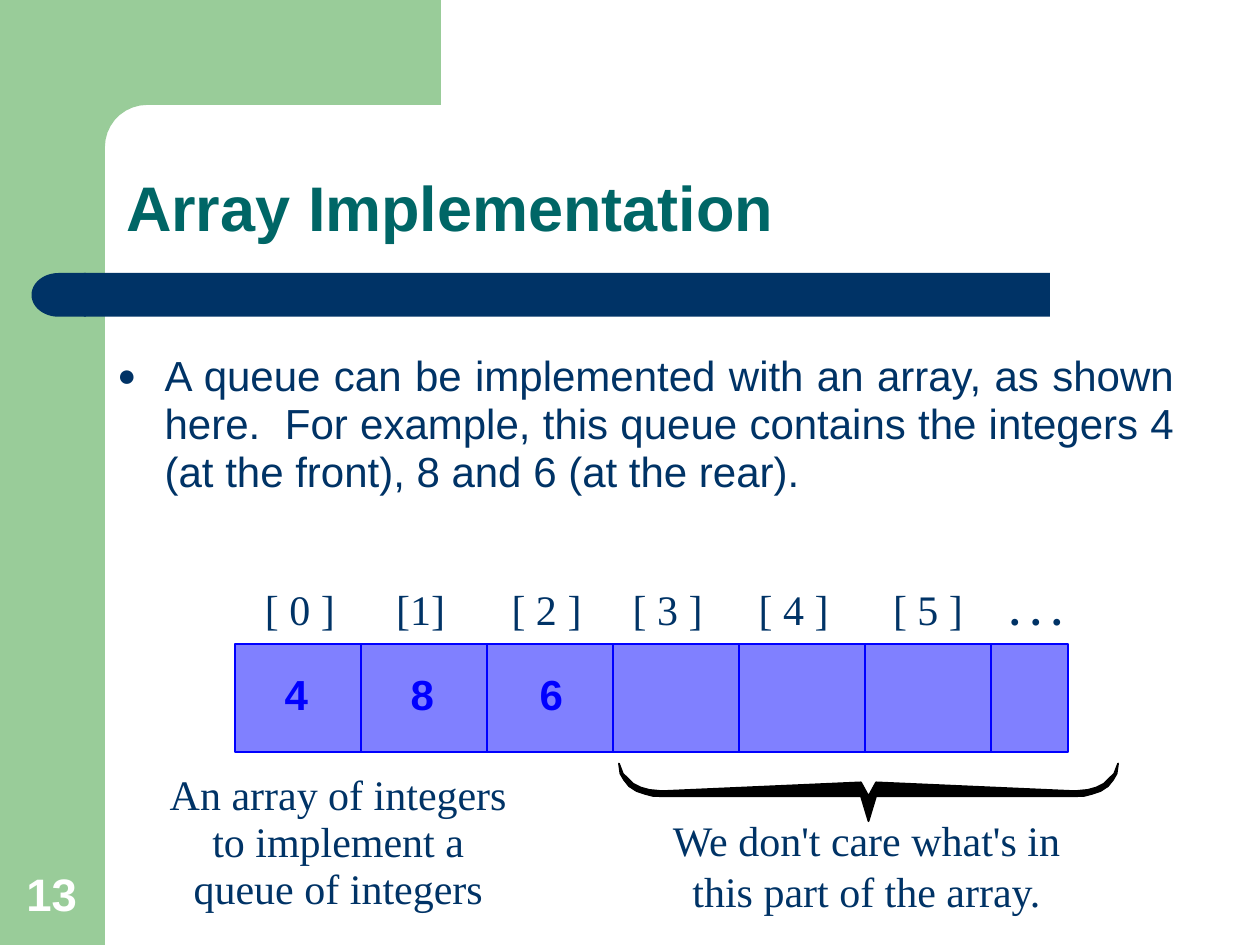
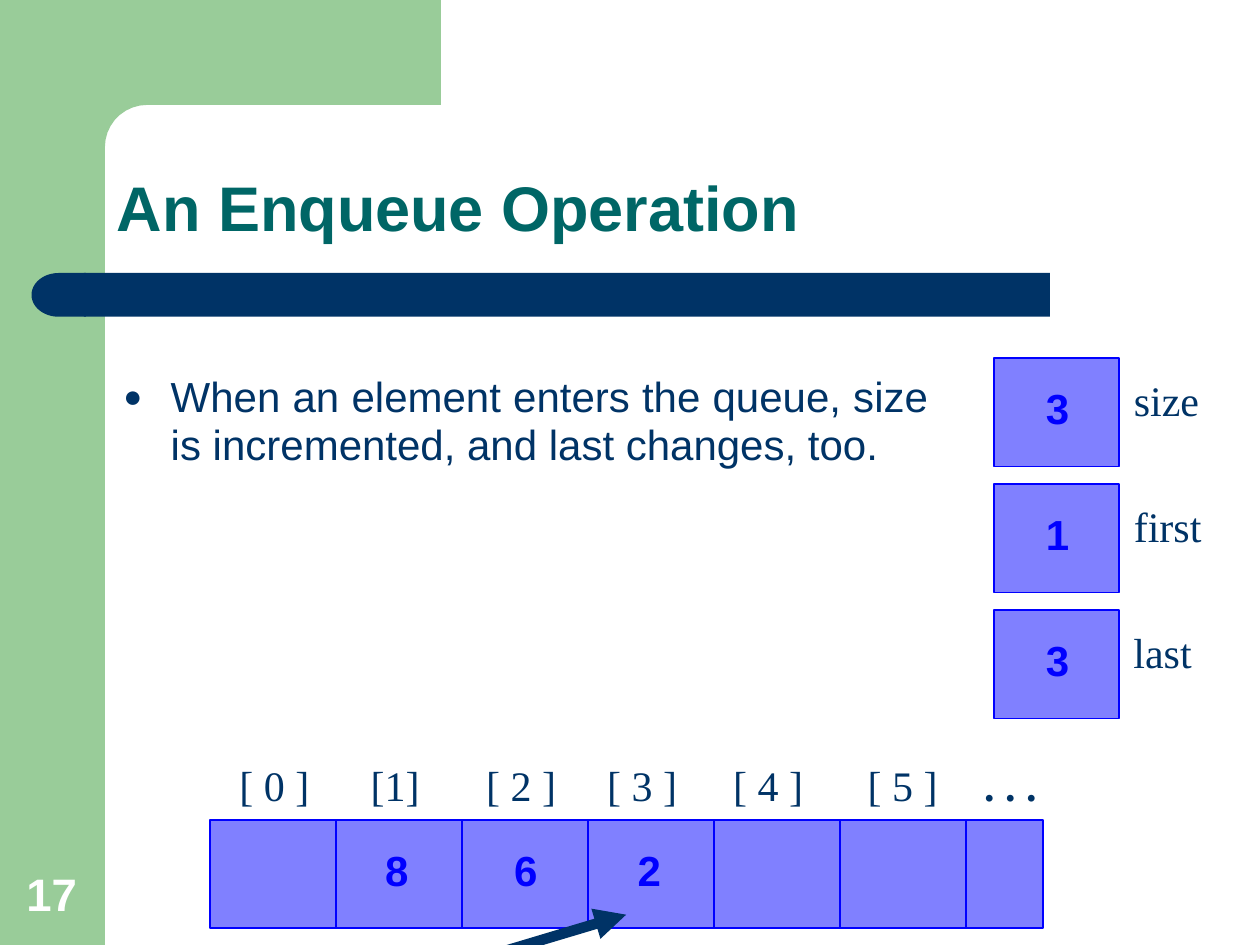
import math
from dataclasses import dataclass

import pptx
import pptx.dml.color
import pptx.enum.shapes
import pptx.enum.text
import pptx.oxml.ns
import pptx.shapes.autoshape
import pptx.shapes.connector
import pptx.slide
import pptx.text.text
import pptx.util
from lxml import etree

Pt = pptx.util.Pt
RGB = pptx.dml.color.RGBColor
Align = pptx.enum.text.PP_ALIGN
Anchor = pptx.enum.text.MSO_ANCHOR
Preset = pptx.enum.shapes.MSO_SHAPE
qn = pptx.oxml.ns.qn


@dataclass(frozen=True)
class Theme:
    green: str = "99CC99"
    navy: str = "003366"
    teal: str = "006666"
    cell_fill: str = "8080FF"
    cell_line: str = "0000FF"
    white: str = "FFFFFF"
    black: str = "000000"
    sans: str = "Arial"
    serif: str = "Times New Roman"
    title_size: float = 36
    text_size: float = 24
    number_size: float = 26
    cell_width: float = 72
    cell_height: float = 62
    array_width: float = 476
    label_height: float = 34


THEME = Theme()


@dataclass(frozen=True)
class Slot:
    label: str
    label_center: float
    value_center: float = 0
    label_width: float = 54
    bold: bool = False


SLOTS = [
    Slot("[ 0 ]", 36.8, 34.8),
    Slot("[1]", 105.8, 106.8, label_width=42.5),
    Slot("[ 2 ]", 177.8, 180.5),
    Slot("[ 3 ]", 247, 251),
    Slot("[ 4 ]", 319),
    Slot("[ 5 ]", 395.8),
    Slot(". . .", 457.4, label_width=44.6, bold=True),
]


@dataclass(frozen=True)
class QueueArray:
    left: float
    top: float
    values: dict[int, str]


@dataclass(frozen=True)
class Register:
    name: str
    value: str
    name_width: float


REGISTERS = [
    Register("size", "3", 52),
    Register("first", "1", 53.3),
    Register("last", "3", 47.5),
]

BRACE_HALF = [
    (4.3, 18.7), (118, 18.7), (123, 18.6), (128, 17.3), (132.5, 15.8), (136.8, 13),
    (139.7, 9.4), (141.8, 5.8), (142.6, 0), (140.4, 5.8), (137.5, 8.6), (134.6, 11.5),
    (130.3, 13.7), (125.3, 15.1), (118, 15.8), (4.3, 10.8),
]


def write(
    frame: pptx.text.text.TextFrame,
    text: str,
    *,
    size: float = THEME.text_size,
    font: str = THEME.serif,
    color: str = THEME.navy,
    bold: bool = False,
    align: Align = Align.CENTER,
    spacing: float = 0.93,
    bullet: bool = False,
) -> None:
    para = frame.add_paragraph() if frame.text else frame.paragraphs[0]
    if bullet:
        add_bullet(para)
    para.alignment = align
    para.line_spacing = spacing
    span = para.add_run()
    span.text = text
    span.font.size = Pt(size)
    span.font.name = font
    span.font.bold = bold
    span.font.color.rgb = RGB.from_string(color)


def add_bullet(para: pptx.text.text._Paragraph) -> None:
    properties = para._p.get_or_add_pPr()
    properties.set("marL", str(Pt(27)))
    properties.set("indent", str(-Pt(27)))
    color = etree.SubElement(properties, qn("a:buClr"))
    etree.SubElement(color, qn("a:srgbClr"), val=THEME.navy)
    etree.SubElement(properties, qn("a:buSzPct"), val="75000")
    etree.SubElement(properties, qn("a:buFont"), typeface=THEME.sans)
    etree.SubElement(properties, qn("a:buChar"), char="●")


def add_text(
    page: pptx.slide.Slide, left: float, top: float, width: float, height: float
) -> pptx.text.text.TextFrame:
    box = page.shapes.add_textbox(Pt(left), Pt(top), Pt(width), Pt(height))
    box.text_frame.word_wrap = True
    return box.text_frame


def add_label(
    page: pptx.slide.Slide,
    left: float,
    top: float,
    width: float,
    height: float = THEME.label_height,
    wrap: bool = False,
) -> pptx.text.text.TextFrame:
    box = add_block(page, left, top, width, height, None, preset=Preset.ROUNDED_RECTANGLE)
    box.adjustments[0] = 0
    box.text_frame.word_wrap = wrap
    box.text_frame.vertical_anchor = Anchor.TOP
    return box.text_frame


def paint(
    shape: pptx.shapes.autoshape.Shape, fill: str | None, line: str | None = None
) -> pptx.shapes.autoshape.Shape:
    shape.shadow.inherit = False
    if fill:
        shape.fill.solid()
        shape.fill.fore_color.rgb = RGB.from_string(fill)
    else:
        shape.fill.background()
    if line:
        shape.line.color.rgb = RGB.from_string(line)
        shape.line.width = Pt(1)
    else:
        shape.line.fill.background()
    return shape


def add_block(
    page: pptx.slide.Slide,
    left: float,
    top: float,
    width: float,
    height: float,
    fill: str | None,
    line: str | None = None,
    preset: Preset = Preset.RECTANGLE,
) -> pptx.shapes.autoshape.Shape:
    shape = page.shapes.add_shape(preset, Pt(left), Pt(top), Pt(width), Pt(height))
    return paint(shape, fill, line)


def add_outline(
    page: pptx.slide.Slide,
    points: list[tuple[float, float]],
    fill: str,
    line: str | None = None,
) -> pptx.shapes.autoshape.Shape:
    start, *rest = [(Pt(x), Pt(y)) for x, y in points]
    builder = page.shapes.build_freeform(*start, scale=1.0)
    builder.add_line_segments(rest, close=True)
    return paint(builder.convert_to_shape(), fill, line)


def add_line(
    page: pptx.slide.Slide,
    start: tuple[float, float],
    end: tuple[float, float],
    color: str,
    width: float,
) -> pptx.shapes.connector.Connector:
    line = page.shapes.add_connector(
        pptx.enum.shapes.MSO_CONNECTOR.STRAIGHT, *map(Pt, start + end)
    )
    line.line.color.rgb = RGB.from_string(color)
    line.line.width = Pt(width)
    etree.SubElement(line.element.spPr, qn("a:effectLst"))
    return line


def decorate_layout(layout: pptx.slide.SlideLayout, page: pptx.slide.Slide) -> None:
    radius, corner = 24, 60
    center = corner + radius
    angles = [math.radians(degrees) for degrees in range(90, 181, 10)]
    arc = [
        (center + radius * math.cos(angle), center - radius * math.sin(angle))
        for angle in angles
    ]
    cap = add_block(page, 18, 156, 31, 25, THEME.navy, preset=Preset.FLOWCHART_DELAY)
    cap.rotation = 180
    parts = [
        add_block(page, 0, 0, 60, 540, THEME.green),
        add_outline(
            page,
            [(36, 0), (252, 0), (252, corner), *arc, (corner, 92), (36, 92)],
            THEME.green,
        ),
        add_block(page, 48, 156, 552, 25, THEME.navy),
        cap,
    ]
    for number, part in enumerate(parts, start=100):
        part.element.nvSpPr.cNvPr.set("id", str(number))
        layout.shapes.element.append(part.element)


def add_title(page: pptx.slide.Slide, text: str, left: float) -> None:
    title = page.shapes.title
    title.left, title.top = Pt(left), Pt(65.5)
    title.width, title.height = Pt(600.5), Pt(78.5)
    frame = title.text_frame
    frame.auto_size = pptx.enum.text.MSO_AUTO_SIZE.NONE
    frame.vertical_anchor = Anchor.BOTTOM
    write(frame, text, size=THEME.title_size, font=THEME.sans, color=THEME.teal,
          bold=True, align=Align.LEFT, spacing=0.95)


def add_page_number(page: pptx.slide.Slide, number: str) -> None:
    frame = add_text(page, 8, 491.8, 46, 38)
    frame.vertical_anchor = Anchor.BOTTOM
    write(frame, number, size=THEME.number_size, font=THEME.sans, color=THEME.white,
          bold=True, align=Align.LEFT, spacing=1.0)


def add_body(
    page: pptx.slide.Slide, text: str, left: float, top: float, width: float, height: float
) -> None:
    write(add_text(page, left, top, width, height), text, font=THEME.sans,
          align=Align.JUSTIFY, spacing=0.95, bullet=True)


def add_value(page: pptx.slide.Slide, value: str, center: float, cell_top: float) -> None:
    width = 27.4
    write(add_label(page, center - width / 2, cell_top + 13, width), value,
          font=THEME.sans, color=THEME.cell_line, bold=True)


def add_array(page: pptx.slide.Slide, array: QueueArray) -> None:
    bottom = array.top + THEME.cell_height
    add_block(page, array.left, array.top, THEME.array_width, THEME.cell_height,
              THEME.cell_fill, THEME.cell_line)
    for index, slot in enumerate(SLOTS):
        if index:
            x = array.left + index * THEME.cell_width
            add_line(page, (x, array.top), (x, bottom), THEME.cell_line, 1)
        label_left = array.left + slot.label_center - slot.label_width / 2
        label = add_label(page, label_left, array.top - 35.6, slot.label_width)
        write(label, slot.label, bold=slot.bold)
        if index in array.values:
            add_value(page, array.values[index], array.left + slot.value_center, array.top)


def add_registers(page: pptx.slide.Slide) -> None:
    left, pitch = 568, 72
    for index, register in enumerate(REGISTERS):
        top = 204.6 + index * pitch
        add_block(page, left, top, 71.5, THEME.cell_height, THEME.cell_fill, THEME.cell_line)
        add_value(page, register.value, left + THEME.cell_width / 2 + 0.3, top)
        write(add_label(page, 640.6, top + 8.6, register.name_width), register.name)


def add_brace(page: pptx.slide.Slide, center: float, top: float) -> None:
    mirrored = [(-x, y) for x, y in reversed(BRACE_HALF)]
    outline = [(0, 33), *BRACE_HALF, (0, 18.7), *mirrored]
    add_outline(page, [(center + x, top + y) for x, y in outline], THEME.black, THEME.black)


def build_implementation(page: pptx.slide.Slide) -> None:
    add_title(page, "Array Implementation", 64.8)
    add_body(
        page,
        "A queue can be implemented with an array, as shown here.  For example, "
        "this queue contains the integers 4 (at the front), 8 and 6 (at the rear).",
        60, 198.3, 618, 156,
    )
    add_array(page, QueueArray(134.5, 367.8, {0: "4", 1: "8", 2: "6"}))
    write(add_label(page, 86.4, 438.3, 213.8, 88, wrap=True),
          "An array of integers to implement a queue of integers")
    add_brace(page, 496.3, 436.3)
    remark = add_label(page, 376.4, 464.4, 237.6, 63)
    write(remark, "We don't care what's in")
    write(remark, "this part of the array.", spacing=1.0)
    add_page_number(page, "13")


def build_enqueue(page: pptx.slide.Slide) -> None:
    add_title(page, "An Enqueue Operation", 59.6)
    add_body(
        page,
        "When an element enters the queue, size is incremented, and last changes, too.",
        63.5, 210.4, 474, 138,
    )
    add_array(page, QueueArray(120, 468.4, {1: "8", 2: "6", 3: "2"}))
    add_registers(page)
    arrow = add_line(page, (237.6, 558.7), (357.8, 522.7), THEME.navy, 6)
    etree.SubElement(arrow.line._get_or_add_ln(), qn("a:tailEnd"), type="triangle")
    add_page_number(page, "17")


def main() -> None:
    deck = pptx.Presentation()
    deck.slide_width, deck.slide_height = Pt(720), Pt(540)
    layout = deck.slide_layouts[5]
    pages = [deck.slides.add_slide(layout) for _ in range(2)]
    decorate_layout(layout, pages[0])
    for page, build in zip(pages, [build_implementation, build_enqueue]):
        build(page)
    deck.save("out.pptx")


if __name__ == "__main__":
    main()
